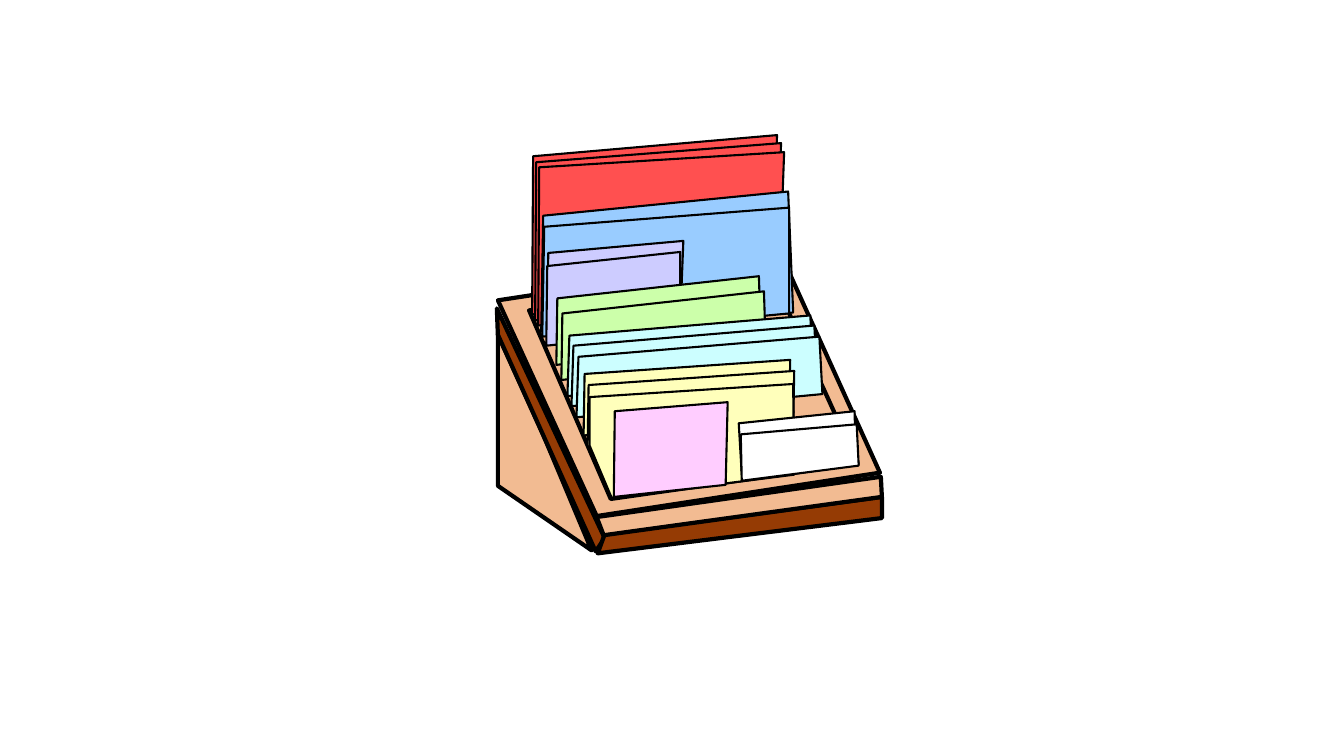
import dataclasses
import typing

import pptx
import pptx.dml.color
import pptx.util

UNIT = pptx.util.Cm(2.54) / 100  # points are given in hundredths of an inch
HUES = {
    "ink": "000000", "wood": "F2BB92", "dark": "953B04", "red": "FF5050",
    "blue": "99CCFF", "lilac": "CDCCFF", "green": "CCFFAA", "aqua": "CCFEFF",
    "yellow": "FFFFBB", "pink": "FFCDFF", "white": "FFFFFF",
}
BOLD, THIN = 3, 1.5
Point = tuple[int, int]


@dataclasses.dataclass(frozen=True)
class Panel:
    """One outline, drawn once at each shift, from back to front."""
    hue: typing.Optional[str]
    points: tuple[Point, ...]
    shifts: tuple[Point, ...] = ((0, 0),)


TRAY = (
    Panel("wood", ((494, 298), (776, 255), (873, 469), (592, 512))),
    Panel("wood", ((494, 482), (494, 332), (538, 429), (587, 546))),
    Panel("dark", ((493, 306), (600, 534), (591, 547), (494, 332))),
    Panel("dark", ((600, 530), (875, 493), (875, 514), (593, 549))),
    Panel("wood", ((592, 513), (874, 473), (875, 493), (599, 531))),
    Panel(None, ((525, 308), (764, 269), (851, 460), (606, 495))),
)
CARDS = (
    Panel("red", ((529, 155), (771, 134), (767, 279), (528, 312))),
    Panel("red", ((532, 161), (775, 142), (770, 285), (531, 318))),
    Panel("red", ((535, 166), (778, 151), (773, 290), (534, 323))),
    Panel("blue", ((539, 214), (782, 190), (787, 310), (537, 329))),
    Panel("blue", ((540, 225), (783, 206), (783, 311), (538, 334))),
    Panel("lilac", ((544, 251), (678, 239), (675, 316), (543, 332))),
    Panel("lilac", ((543, 264), (675, 250), (675, 329), (542, 343))),
    Panel("green", ((553, 296), (753, 274), (755, 337), (552, 362)),
          ((0, 0), (5, 15))),
    Panel("aqua", ((565, 333), (804, 313), (807, 370), (563, 393)),
          ((0, 0), (4, 10), (9, 21))),
    Panel("yellow", ((580, 371), (784, 357), (783, 413), (579, 432)),
          ((0, 0), (4, 11))),
    Panel("yellow", ((585, 394), (787, 381), (788, 471), (607, 494),
                     (585, 442))),
    Panel("pink", ((610, 408), (722, 399), (720, 481), (609, 493))),
    Panel("white", ((733, 420), (848, 408), (849, 458), (736, 471))),
    Panel("white", ((735, 431), (850, 421), (852, 462), (736, 477))),
)


def tint(name: str) -> pptx.dml.color.RGBColor:
    """Look up a named colour."""
    return pptx.dml.color.RGBColor.from_string(HUES[name])


def draw(slide: typing.Any, panel: Panel, width: float) -> None:
    """Draw a panel at all its shifts with an ink outline."""
    for right, down in panel.shifts:
        first, *rest = [(x + right, y + down) for x, y in panel.points]
        path = slide.shapes.build_freeform(*first, scale=UNIT)
        path.add_line_segments(rest, close=True)
        shape = path.convert_to_shape()
        shape.shadow.inherit = False
        if panel.hue is None:
            shape.fill.background()
        else:
            shape.fill.solid()
            shape.fill.fore_color.rgb = tint(panel.hue)
        shape.line.color.rgb = tint("ink")
        shape.line.width = pptx.util.Pt(width)


def main() -> None:
    """Build the slide with the card tray."""
    deck = pptx.Presentation()
    deck.slide_width = pptx.util.Cm(33.87)
    deck.slide_height = pptx.util.Cm(19.05)
    slide = deck.slides.add_slide(deck.slide_layouts[6])
    for group, width in ((TRAY, BOLD), (CARDS, THIN)):
        for panel in group:
            draw(slide, panel, width)
    deck.save("out.pptx")


main()
